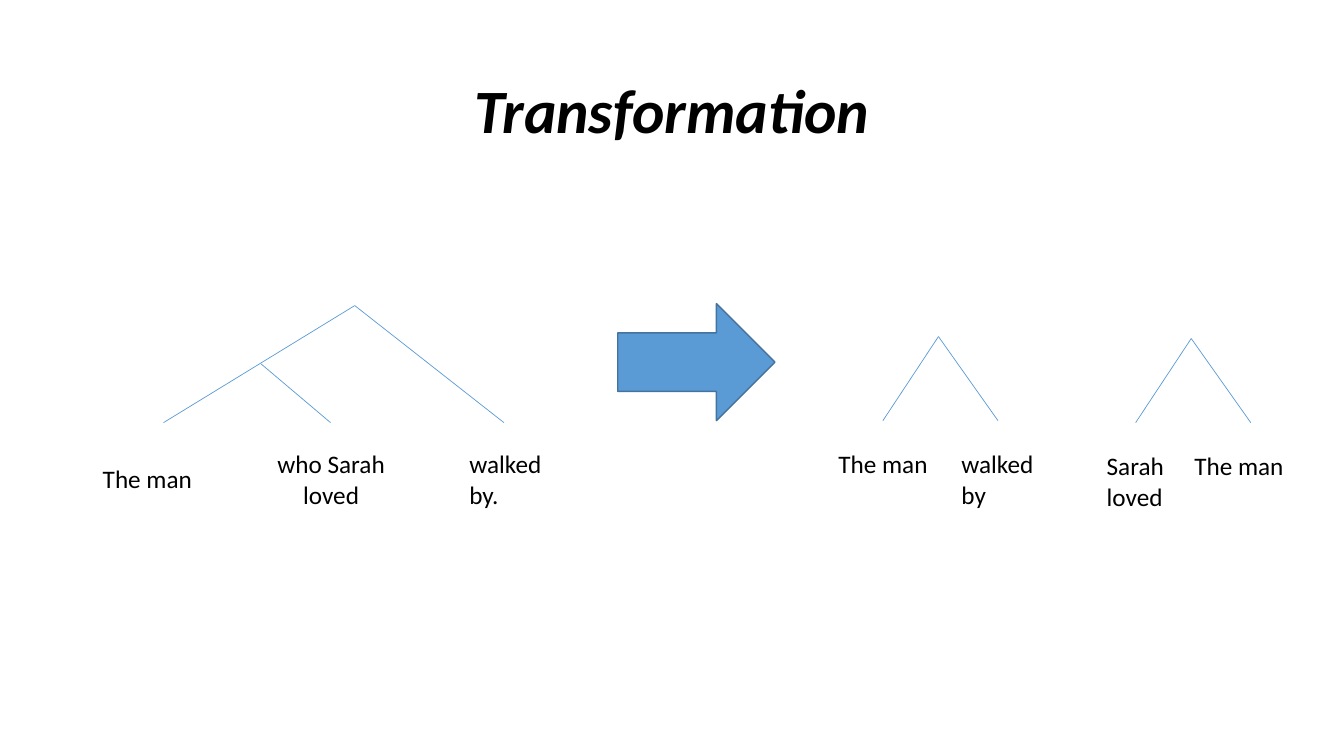
import pptx
import pptx.dml.color
import pptx.enum.shapes
import pptx.enum.text
import pptx.oxml.ns
import pptx.util
from lxml import etree

Cm, Pt = pptx.util.Cm, pptx.util.Pt
ALIGN = pptx.enum.text.PP_ALIGN
BLUE = pptx.dml.color.RGBColor(0x5B, 0x9B, 0xD5)
DARK_BLUE = pptx.dml.color.RGBColor(0x43, 0x73, 0x9E)
BLACK = pptx.dml.color.RGBColor(0, 0, 0)
FONT = "Calibri"


def add_run(p, text, size):
    r = p.add_run()
    r.text = text
    r.font.name = FONT
    r.font.size = Pt(size)
    r.font.color.rgb = BLACK
    return r


def add_title(s, text, left, top, width, height):
    sp = s.shapes.title
    sp.left, sp.top, sp.width, sp.height = Cm(left), Cm(top), Cm(width), Cm(height)
    tf = sp.text_frame
    tf.vertical_anchor = pptx.enum.text.MSO_ANCHOR.MIDDLE
    p = tf.paragraphs[0]
    p.alignment = ALIGN.CENTER
    p.line_spacing = 0.9
    r = add_run(p, text, 44)
    r.font.bold = r.font.italic = True


def add_label(s, lines, left, top, width, wrap=False, align=ALIGN.LEFT, rows=None):
    """Place a leaf label; rows is the line count after wrapping."""
    height = 1.02 if (rows or len(lines)) == 1 else 1.8
    tf = s.shapes.add_textbox(Cm(left), Cm(top), Cm(width), Cm(height)).text_frame
    tf.word_wrap = wrap
    tf.auto_size = pptx.enum.text.MSO_AUTO_SIZE.SHAPE_TO_FIT_TEXT
    for i, line in enumerate(lines):
        p = tf.add_paragraph() if i else tf.paragraphs[0]
        p.alignment = align
        add_run(p, line, 18)


def add_branch(s, start, end):
    c = s.shapes.add_connector(pptx.enum.shapes.MSO_CONNECTOR.STRAIGHT,
                               Cm(start[0]), Cm(start[1]), Cm(end[0]), Cm(end[1]))
    c.line.color.rgb = BLUE
    c.line.width = Pt(0.5)
    sp_pr = c._element.find(pptx.oxml.ns.qn("p:spPr"))
    etree.SubElement(sp_pr, pptx.oxml.ns.qn("a:effectLst"))


def add_nested_tree(s, left, top):
    """Draw the full sentence with its embedded relative clause."""
    apex, node = (left + 6.6, top), (left + 4.24, top + 1.47)
    foot = top + 2.95
    add_label(s, ["The man"], left, top + 3.86, 2.79, wrap=True)
    add_label(s, ["who Sarah loved"], left + 4.24, top + 3.48, 3.53,
              wrap=True, align=ALIGN.CENTER, rows=2)
    add_label(s, ["walked by."], left + 9.24, top + 3.48, 2.79, wrap=True, rows=2)
    add_branch(s, (left + 1.78, foot), apex)
    add_branch(s, apex, (left + 10.36, foot))
    add_branch(s, node, (left + 5.99, foot))


def add_arrow(s, left, top, width, height):
    """Fill the given box with an arrow pointing right, made by turning a down arrow."""
    inset = (width - height) / 2
    sp = s.shapes.add_shape(pptx.enum.shapes.MSO_SHAPE.DOWN_ARROW,
                            Cm(left + inset), Cm(top - inset), Cm(height), Cm(width))
    sp.rotation = 270
    sp.shadow.inherit = False
    sp.fill.solid()
    sp.fill.fore_color.rgb = BLUE
    sp.line.color.rgb = DARK_BLUE
    sp.line.width = Pt(1)


def add_simple_tree(s, left, top, labels):
    """Draw a two-leaf tree; labels hold (lines, offset, width)."""
    apex = (left + 2.77, top)
    for lines, offset, width in labels:
        add_label(s, lines, left + offset, top + 2.7, width)
    for offset in (1.37, 4.27):
        add_branch(s, apex, (left + offset, top + 2.12))


def main():
    prs = pptx.Presentation()
    prs.slide_width, prs.slide_height = Cm(33.87), Cm(19.05)
    s = prs.slides.add_slide(prs.slide_layouts[5])
    add_title(s, "Transformation", 2.33, 1.01, 29.21, 3.68)
    add_nested_tree(s, 2.34, 7.7)
    add_arrow(s, 15.57, 7.65, 3.96, 2.95)
    add_simple_tree(s, 20.88, 8.48, [(["The man"], 0, 2.79),
                                     (["walked", "by"], 3.1, 2.34)])
    add_simple_tree(s, 27.25, 8.53, [(["Sarah", "loved"], 0.39, 1.98),
                                     (["The man"], 2.6, 2.79)])
    prs.save("out.pptx")


if __name__ == "__main__":
    main()
